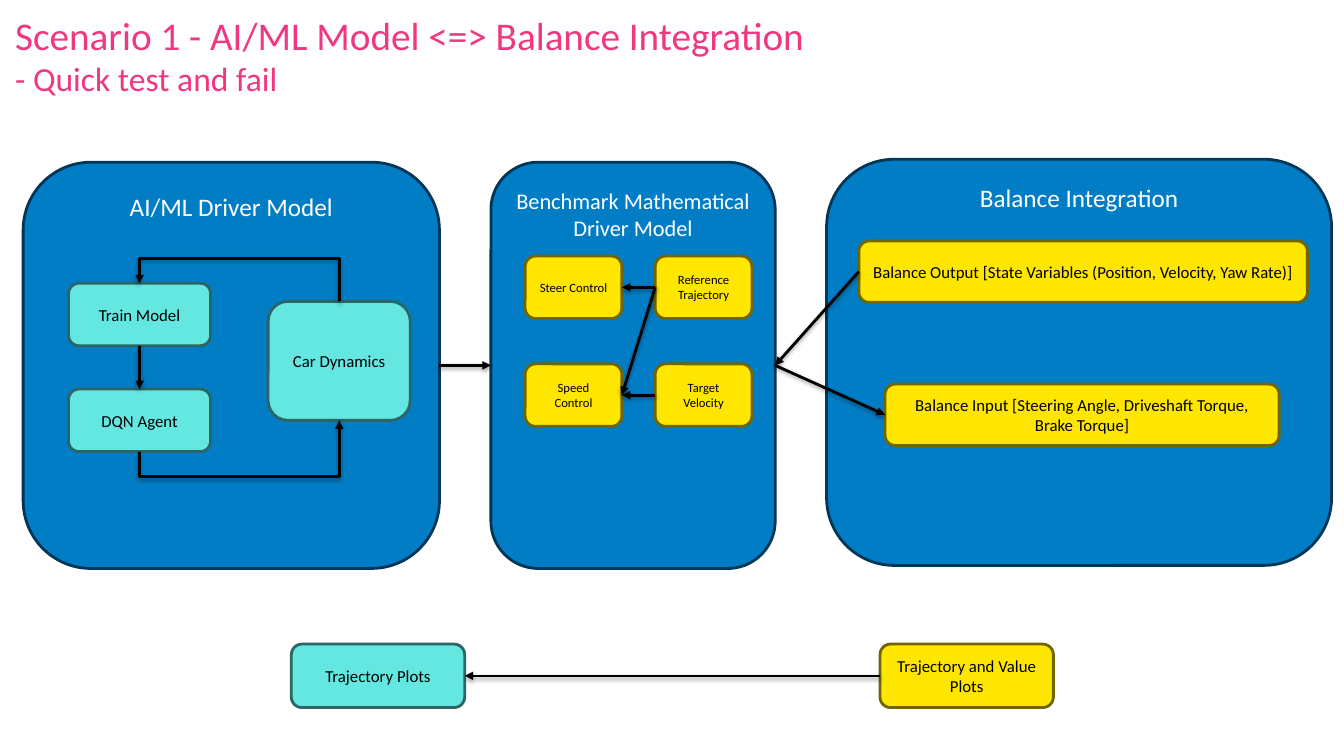
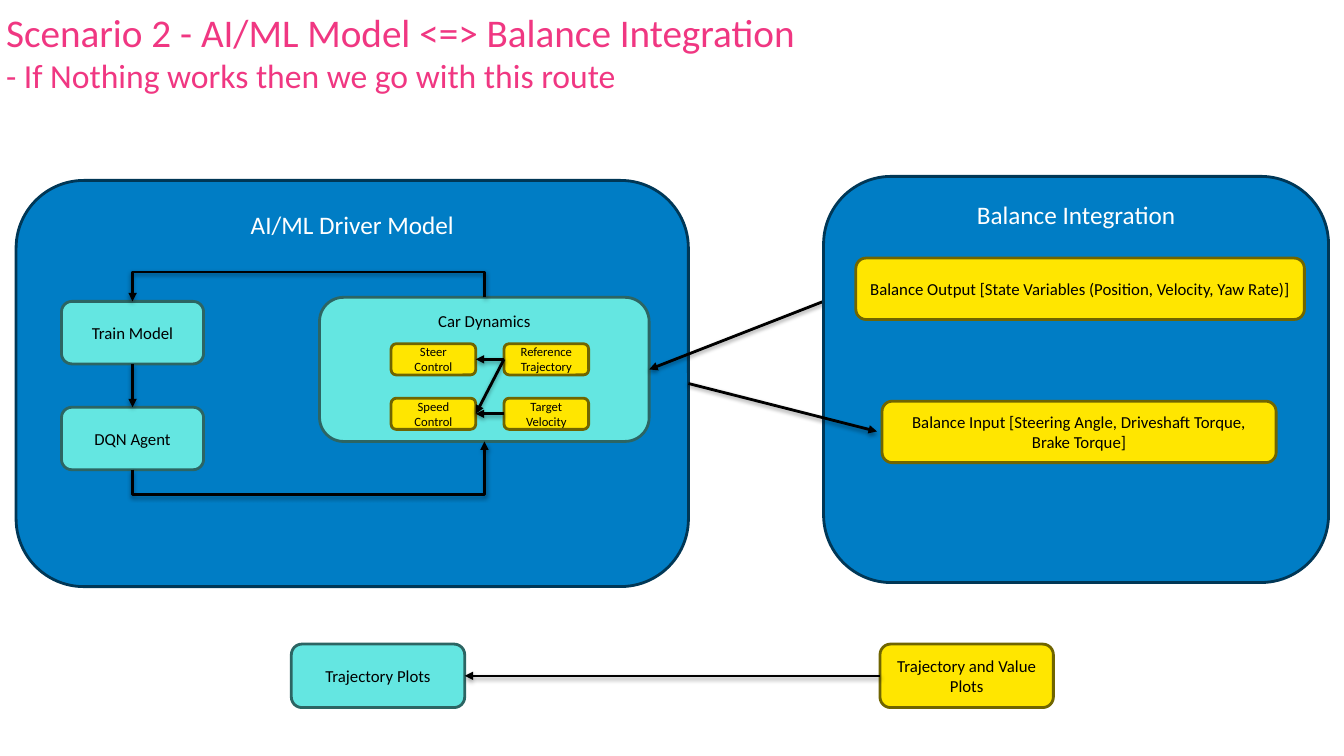
"""Build two scenario slides about linking a driver model to Balance."""
from dataclasses import dataclass

from pptx import Presentation, oxml, util as u
from pptx.dml.color import RGBColor
from pptx.enum import shapes, text
from pptx.oxml import ns
from pptx.shapes.autoshape import Shape
from pptx.shapes.connector import Connector
from pptx.slide import Slide
from pptx.text.text import _Paragraph as Paragraph

PINK = RGBColor(0xF0, 0x37, 0x82)
BLUE = RGBColor(0x00, 0x7D, 0xC5)
NAVY = RGBColor(0x00, 0x37, 0x56)
AQUA = RGBColor(0x64, 0xE6, 0xE1)
TEAL = RGBColor(0x2C, 0x65, 0x63)
YELLOW = RGBColor(0xFF, 0xE6, 0x00)
OLIVE = RGBColor(0x70, 0x65, 0x00)
BLACK = RGBColor(0x00, 0x00, 0x00)
WHITE = RGBColor(0xFF, 0xFF, 0xFF)

FONT = "Calibri"
CELL = u.Inches(0.1)
COLUMNS, ROWS = 133.33, 75
TOP, LEFT, BOTTOM, RIGHT = range(4)
LOOP_GAP = 2.5


@dataclass(frozen=True)
class Style:
    """Colours of a kind of box."""

    fill: RGBColor
    line: RGBColor
    ink: RGBColor = BLACK


@dataclass(frozen=True)
class Area:
    """Place and size in grid columns and rows."""

    left: float
    top: float
    width: float
    height: float


PANEL = Style(BLUE, NAVY, WHITE)
MODEL = Style(AQUA, TEAL)
SIGNAL = Style(YELLOW, OLIVE)


def cells(count: float) -> u.Emu:
    """Turn grid cells into a length."""
    return u.Emu(round(count * CELL))


def add_text(para: Paragraph, wording: str, *, size: float, color: RGBColor) -> None:
    """Add a formatted run to a paragraph."""
    span = para.add_run()
    span.text = wording
    span.font.name = FONT
    span.font.size = u.Pt(size)
    span.font.color.rgb = color


def add_title(page: Slide, area: Area, heading: str, subheading: str) -> None:
    """Place the title and its smaller second line."""
    title = page.shapes.title
    title.left, title.top = cells(area.left), cells(area.top)
    title.width, title.height = cells(area.width), cells(area.height)
    frame = title.text_frame
    frame.auto_size = text.MSO_AUTO_SIZE.NONE
    frame.vertical_anchor = text.MSO_ANCHOR.TOP
    para = frame.paragraphs[0]
    para.alignment = text.PP_ALIGN.LEFT
    add_text(para, heading, size=28, color=PINK)
    para.add_line_break()
    add_text(para, subheading, size=24, color=PINK)


def add_box(page: Slide, area: Area, wording: str, style: Style, *,
            size: float = 12, inset: float | None = None) -> Shape:
    """Draw a rounded box; an inset puts its text at the top."""
    box = page.shapes.add_shape(
        shapes.MSO_SHAPE.ROUNDED_RECTANGLE, cells(area.left), cells(area.top),
        cells(area.width), cells(area.height))
    box.shadow.inherit = False
    box.fill.solid()
    box.fill.fore_color.rgb = style.fill
    box.line.color.rgb = style.line
    box.line.width = u.Pt(2)
    frame = box.text_frame
    frame.word_wrap = True
    frame.vertical_anchor = text.MSO_ANCHOR.MIDDLE
    if inset is not None:
        frame.vertical_anchor = text.MSO_ANCHOR.TOP
        frame.margin_top = cells(inset)
    para = frame.paragraphs[0]
    para.alignment = text.PP_ALIGN.CENTER
    add_text(para, wording, size=size, color=style.ink)
    return box


def add_arrow(page: Slide, kind: shapes.MSO_CONNECTOR,
              begin: tuple[int, int] = (0, 0), end: tuple[int, int] = (0, 0),
              width: float = 2) -> Connector:
    """Draw a black connector with an arrowhead at its end."""
    arrow = page.shapes.add_connector(kind, *begin, *end)
    arrow.line.color.rgb = BLACK
    arrow.line.width = u.Pt(width)
    head = oxml.parse_xml(f'<a:tailEnd {ns.nsdecls("a")} type="triangle"/>')
    arrow.line._get_or_add_ln().append(head)
    return arrow


def link(page: Slide, begin: Shape, begin_side: int, end: Shape, end_side: int,
         width: float = 2) -> Connector:
    """Join the sides of two boxes with a straight arrow."""
    arrow = add_arrow(page, shapes.MSO_CONNECTOR.STRAIGHT, width=width)
    arrow.begin_connect(begin, begin_side)
    arrow.end_connect(end, end_side)
    return arrow


def loop(page: Slide, begin: Shape, end: Shape, side: int) -> None:
    """Lead an elbow arrow around the top or bottom of two boxes."""
    x1, x2 = (box.left + box.width // 2 for box in (begin, end))
    y1, y2 = (box.top + (box.height if side == BOTTOM else 0) for box in (begin, end))
    gap = cells(LOOP_GAP)
    turn = max(y1, y2) + gap if side == BOTTOM else min(y1, y2) - gap
    middle_x, middle_y = (x1 + x2) // 2, (y1 + y2) // 2
    begin_point, end_point = (
        (middle_x + y - middle_y, middle_y - x + middle_x)
        for x, y in ((x1, y1), (x2, y2)))
    arrow = add_arrow(page, shapes.MSO_CONNECTOR.ELBOW, begin_point, end_point)
    properties = arrow._element.spPr
    properties.find(ns.qn("a:xfrm")).set("rot", "5400000")
    geometry = properties.find(ns.qn("a:prstGeom"))
    for guides in geometry.findall(ns.qn("a:avLst")):
        geometry.remove(guides)
    share = round((turn - y1) / (y2 - y1) * 100000)
    geometry.append(oxml.parse_xml(
        f'<a:avLst {ns.nsdecls("a")}><a:gd name="adj1" fmla="val {share}"/></a:avLst>'))


def add_driver(page: Slide, area: Area, dynamics_area: Area,
               inset: float | None = None) -> tuple[Shape, Shape]:
    """Draw the driver model and return its panel and car dynamics."""
    panel = add_box(page, area, "AI/ML Driver Model", PANEL, size=18, inset=0.9)
    train, agent = (
        add_box(page, Area(area.left + 4.5, area.top + offset, 14.1, 6.2), wording, MODEL)
        for wording, offset in (("Train Model", 12), ("DQN Agent", 22.5)))
    dynamics = add_box(page, dynamics_area, "Car Dynamics", MODEL, inset=inset)
    link(page, train, BOTTOM, agent, TOP)
    loop(page, agent, dynamics, BOTTOM)
    loop(page, dynamics, train, TOP)
    return panel, dynamics


def add_controls(page: Slide, first: Area, column_step: float, row_step: float) -> None:
    """Draw the two controls and the two values that feed them."""
    names = (("Steer Control", "Reference Trajectory"), ("Speed Control", "Target Velocity"))
    (steer, reference), (speed, target) = (
        [add_box(page, Area(first.left + column * column_step, first.top + row * row_step,
                            first.width, first.height), wording, SIGNAL, size=9)
         for column, wording in enumerate(line)]
        for row, line in enumerate(names))
    for source, control in ((reference, steer), (reference, speed), (target, speed)):
        link(page, source, LEFT, control, RIGHT)


def add_balance(page: Slide, left: float, top: float) -> tuple[Shape, Shape, Shape]:
    """Draw the Balance panel with its output and input."""
    panel = add_box(page, Area(left, top, 50.1, 40.3), "Balance Integration", PANEL,
                    size=18, inset=0.3)
    outgoing = add_box(page, Area(left + 3.2, top + 8.1, 44.5, 6.1),
                       "Balance Output [State Variables (Position, Velocity, Yaw Rate)]", SIGNAL)
    incoming = add_box(page, Area(left + 5.8, top + 22.3, 39.1, 6.1),
                       "Balance Input [Steering Angle, Driveshaft Torque, Brake Torque]", SIGNAL)
    return panel, outgoing, incoming


def add_plots(page: Slide) -> None:
    """Draw the row of plots at the foot of the slide."""
    plots = add_box(page, Area(28.9, 63.9, 17.2, 6.3), "Trajectory Plots", MODEL)
    values = add_box(page, Area(87.3, 63.9, 17.2, 6.3), "Trajectory and Value Plots", SIGNAL)
    link(page, values, LEFT, plots, RIGHT, width=1.5)


def build_quick_test(page: Slide) -> None:
    """Fill the slide with a separate benchmark model."""
    add_title(page, Area(0.5, 0.6, 129.2, 9.7),
              "Scenario 1 - AI/ML Model <=> Balance Integration", "- Quick test and fail")
    driver, _ = add_driver(page, Area(2.3, 16.1, 41.3, 40.3), Area(26.6, 29.9, 14.1, 11.8))
    _, outgoing, incoming = add_balance(page, 82, 15.8)
    add_plots(page)
    benchmark = add_box(page, Area(48.7, 16.1, 28.2, 40.3),
                        "Benchmark Mathematical Driver Model", PANEL, size=16, inset=1.1)
    add_controls(page, Area(52.1, 25.4, 9.6, 6.2), 12.9, 10.7)
    link(page, outgoing, LEFT, benchmark, RIGHT)
    link(page, benchmark, RIGHT, incoming, LEFT)
    link(page, driver, RIGHT, benchmark, LEFT)


def build_fallback(page: Slide) -> None:
    """Fill the slide with controls inside the car dynamics."""
    add_title(page, Area(-0.4, 0.3, 133.5, 9.1),
              "Scenario 2 - AI/ML Model <=> Balance Integration",
              "- If Nothing works then we go with this route")
    add_plots(page)
    driver, dynamics = add_driver(page, Area(1.6, 17.9, 66.7, 40.3),
                                  Area(31.7, 29.5, 32.7, 14.3), inset=0.6)
    balance, outgoing, _ = add_balance(page, 81.7, 17.5)
    feedback = link(page, outgoing, LEFT, dynamics, RIGHT)
    balance._element.addprevious(feedback._element)
    command = add_arrow(page, shapes.MSO_CONNECTOR.STRAIGHT, end=(cells(87), cells(42.8)))
    command.begin_connect(driver, RIGHT)
    add_controls(page, Area(38.8, 34.1, 8.4, 3.1), 11.2, 5.4)


def main() -> None:
    """Create and save the deck."""
    deck = Presentation()
    deck.slide_width, deck.slide_height = cells(COLUMNS), cells(ROWS)
    for build in (build_quick_test, build_fallback):
        build(deck.slides.add_slide(deck.slide_layouts[5]))
    deck.save("out.pptx")


if __name__ == "__main__":
    main()
